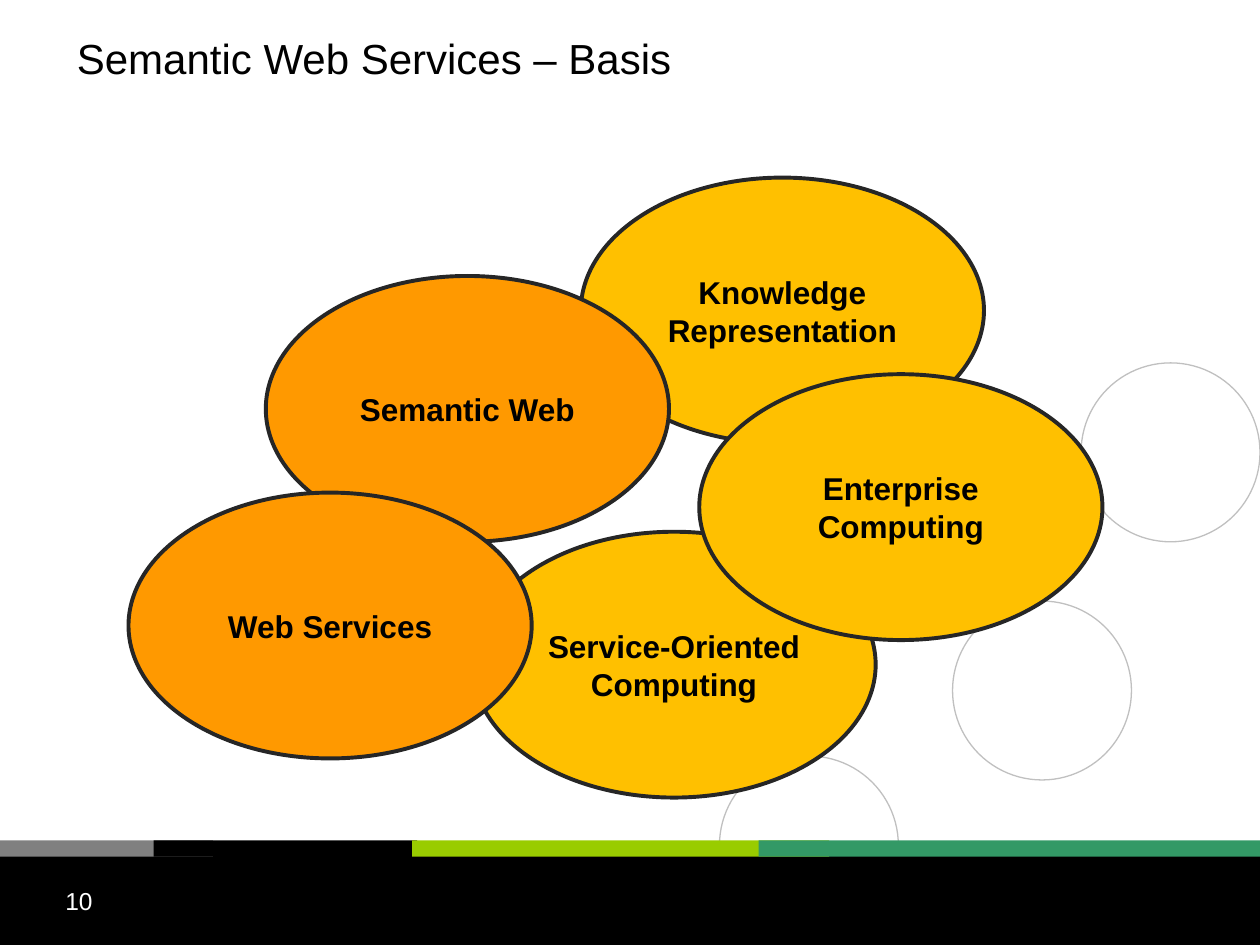
from typing import NamedTuple, Optional

from pptx import Presentation
from pptx.dml.color import RGBColor
from pptx.enum.shapes import MSO_SHAPE
from pptx.enum.text import MSO_ANCHOR, PP_ALIGN
from pptx.util import Inches, Pt

BLACK = RGBColor(0x00, 0x00, 0x00)
WHITE = RGBColor(0xFF, 0xFF, 0xFF)
SILVER = RGBColor(0xC0, 0xC0, 0xC0)
GRAY = RGBColor(0x80, 0x80, 0x80)
LIME = RGBColor(0x99, 0xCC, 0x00)
GREEN = RGBColor(0x33, 0x99, 0x66)
CHARCOAL = RGBColor(0x26, 0x26, 0x26)
AMBER = RGBColor(0xFF, 0xC0, 0x00)
ORANGE = RGBColor(0xFF, 0x99, 0x00)

FONT = "Arial"
RING_SIZE = 1.42
STRIPE_TOP, STRIPE_HEIGHT = 6.67, 0.13
TOPIC_WIDTH, TOPIC_HEIGHT = 3.2, 2.11


class Ring(NamedTuple):
    left: float
    top: float


class Stripe(NamedTuple):
    left: float
    width: float
    color: RGBColor


class Topic(NamedTuple):
    label: str
    left: float
    top: float
    color: RGBColor


RINGS = [Ring(5.71, 6), Ring(7.56, 4.77), Ring(8.58, 2.88)]
STRIPES = [
    Stripe(0, 1.69, GRAY),
    Stripe(1.22, 2.09, BLACK),
    Stripe(3.27, 3.31, LIME),
    Stripe(6.02, 3.98, GREEN),
]
TOPICS = [
    Topic("Knowledge Representation", 4.61, 1.41, AMBER),
    Topic("Service-Oriented Computing", 3.75, 4.22, AMBER),
    Topic("Enterprise Computing", 5.55, 2.97, AMBER),
    Topic("Semantic Web", 2.11, 2.19, ORANGE),
    Topic("Web Services", 1.02, 3.91, ORANGE),
]


def add_figure(slide, preset: MSO_SHAPE, left: float, top: float,
               width: float, height: float, fill: Optional[RGBColor] = None,
               line: Optional[RGBColor] = None, line_width: float = 0.75):
    figure = slide.shapes.add_shape(
        preset, Inches(left), Inches(top), Inches(width), Inches(height))
    figure.shadow.inherit = False
    if fill is None:
        figure.fill.background()
    else:
        figure.fill.solid()
        figure.fill.fore_color.rgb = fill
    if line is None:
        figure.line.fill.background()
    else:
        figure.line.color.rgb = line
        figure.line.width = Pt(line_width)
    return figure


def write(paragraph, text: str, size: float, color: RGBColor,
          bold: bool = False) -> None:
    run = paragraph.add_run()
    run.text = text
    run.font.name = FONT
    run.font.size = Pt(size)
    run.font.bold = bold
    run.font.color.rgb = color


def add_backdrop(slide) -> None:
    for ring in RINGS:
        add_figure(slide, MSO_SHAPE.OVAL, ring.left, ring.top,
                   RING_SIZE, RING_SIZE, line=SILVER)
    add_figure(slide, MSO_SHAPE.RECTANGLE, 0, 6.75, 10, 0.75, fill=BLACK)
    for stripe in STRIPES:
        add_figure(slide, MSO_SHAPE.RECTANGLE, stripe.left, STRIPE_TOP,
                   stripe.width, STRIPE_HEIGHT, fill=stripe.color)


def add_page_number(slide, number: str) -> None:
    page_number = slide.shapes.add_textbox(
        Inches(0.42), Inches(6.98), Inches(2.33), Inches(0.52))
    page_number.text_frame.word_wrap = True
    write(page_number.text_frame.paragraphs[0], number, 14, WHITE)


def set_title(slide, text: str) -> None:
    title = slide.shapes.title
    title.left, title.top = Inches(0.51), Inches(0)
    title.width, title.height = Inches(7.83), Inches(0.92)
    title.text_frame.vertical_anchor = MSO_ANCHOR.MIDDLE
    heading = title.text_frame.paragraphs[0]
    heading.alignment = PP_ALIGN.LEFT
    write(heading, text, 24, BLACK)


def add_topic(slide, topic: Topic) -> None:
    ellipse = add_figure(slide, MSO_SHAPE.OVAL, topic.left, topic.top,
                         TOPIC_WIDTH, TOPIC_HEIGHT, topic.color, CHARCOAL, 2.25)
    frame = ellipse.text_frame
    frame.word_wrap = True
    frame.vertical_anchor = MSO_ANCHOR.MIDDLE
    frame.paragraphs[0].alignment = PP_ALIGN.CENTER
    write(frame.paragraphs[0], topic.label, 18, BLACK, bold=True)


def main() -> None:
    presentation = Presentation()
    presentation.slide_width = Inches(10)
    presentation.slide_height = Inches(7.5)
    slide = presentation.slides.add_slide(presentation.slide_layouts[5])
    add_backdrop(slide)
    add_page_number(slide, "10")
    set_title(slide, "Semantic Web Services – Basis")
    for topic in TOPICS:
        add_topic(slide, topic)
    presentation.save("out.pptx")


if __name__ == "__main__":
    main()
